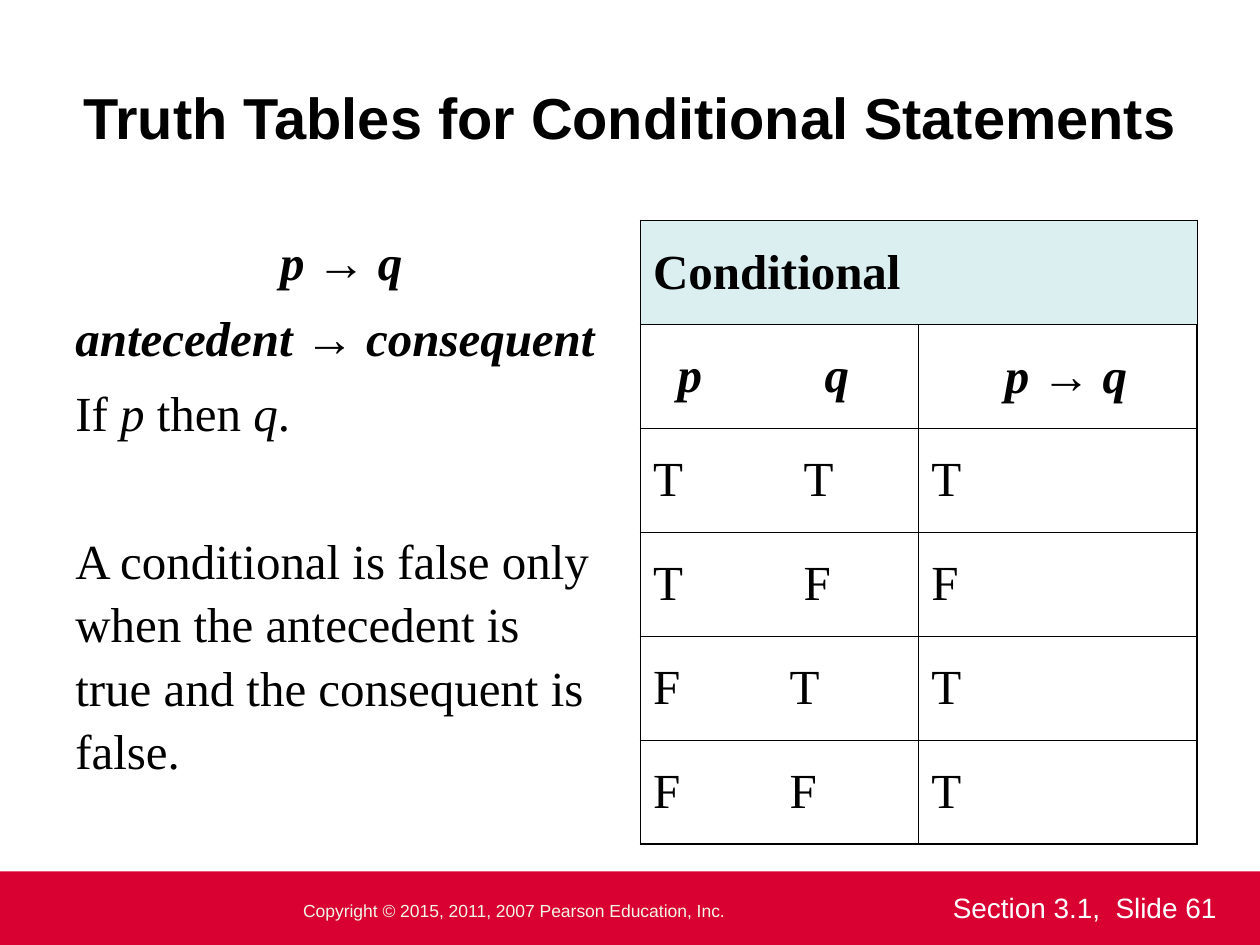
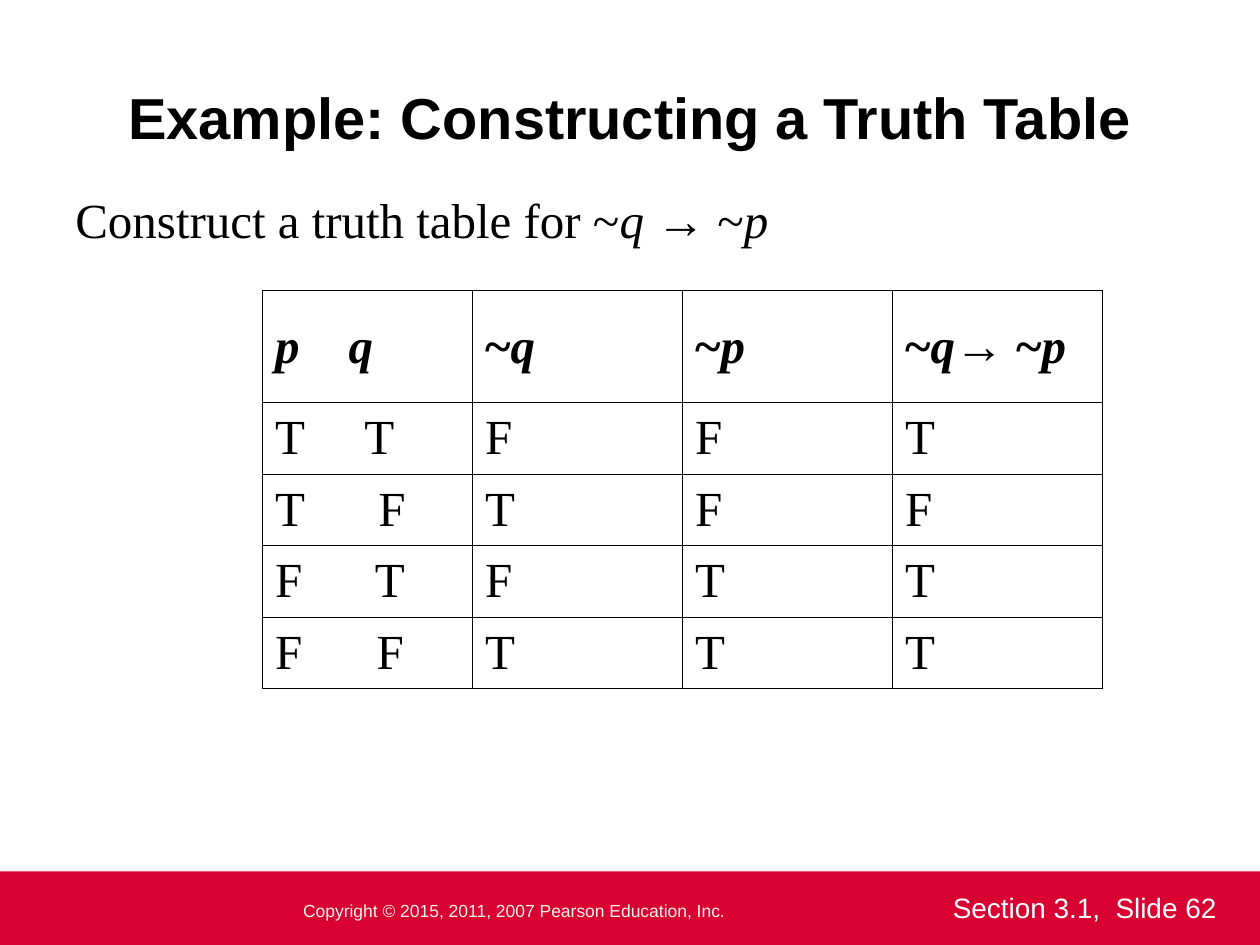
import itertools
from dataclasses import dataclass

import pptx
import pptx.dml.color
import pptx.enum.shapes
import pptx.enum.text
import pptx.oxml
import pptx.oxml.ns
import pptx.util
from lxml import etree

Pt = pptx.util.Pt
RGB = pptx.dml.color.RGBColor.from_string
ALIGN = pptx.enum.text.PP_ALIGN
ANCHOR = pptx.enum.text.MSO_ANCHOR
qn = pptx.oxml.ns.qn


@dataclass(frozen=True)
class Theme:
    ink: str = "000000"
    band: str = "D90032"
    copyright: str = "F3F5E7"
    white: str = "FFFFFF"
    header: str = "BBE0E3"
    sans: str = "Arial"
    serif: str = "Times New Roman"
    title_size: float = 33
    body_size: float = 28
    section_size: float = 16
    copyright_size: float = 10
    outer_line: float = 1.08
    inner_line: float = 0.45
    body_spacing: float = 1.08


def write(p, text, font, size, color, bold=False, align=None, tabs=(), before=0, spacing=None):
    """Asterisks switch italics on and off; arrows are upright bold sans."""
    if tabs:
        tab_list = etree.SubElement(p._p.get_or_add_pPr(), qn("a:tabLst"))
        for pos in tabs:
            etree.SubElement(tab_list, qn("a:tab"), pos=str(Pt(pos)), algn="l")
    p.alignment = align
    if before:
        p.space_before = Pt(before)
    if spacing:
        p.line_spacing = spacing
    for i, chunk in enumerate(text.split("*")):
        for piece in filter(None, chunk.replace("→", "|→|").split("|")):
            arrow = piece == "→"
            r = p.add_run()
            r.text = piece
            r.font.name = Theme.sans if arrow else font
            r.font.size = Pt(size)
            r.font.bold = bold or arrow
            r.font.italic = i % 2 == 1 and not arrow
            r.font.color.rgb = RGB(color)


class Deck:
    def __init__(self, theme):
        self.t = theme
        self.prs = pptx.Presentation()
        self.prs.slide_width, self.prs.slide_height = Pt(720), Pt(540)

    def slide(self, title, number):
        t = self.t
        self.s = self.prs.slides.add_slide(self.prs.slide_layouts[6])
        self.rect(0, 498, 720, 42, t.band)
        self.text(144, 508, 270, 25,
                  [("Copyright © 2015, 2011, 2007 Pearson Education, Inc.", dict(align=ALIGN.RIGHT))],
                  anchor=ANCHOR.MIDDLE, inset=False,
                  font=t.sans, size=t.copyright_size, color=t.copyright)
        self.text(537.4, 505.4, 180, 28, [(f"Section 3.1,\tSlide {number}", dict(tabs=[93]))],
                  font=t.sans, size=t.section_size, color=t.white)
        self.text(36, 21.6, 648, 90, [(title, dict(align=ALIGN.CENTER))], anchor=ANCHOR.MIDDLE,
                  font=t.sans, size=t.title_size, color=t.ink, bold=True)

    def rect(self, x, y, w, h, color):
        sp = self.s.shapes.add_shape(pptx.enum.shapes.MSO_SHAPE.RECTANGLE, Pt(x), Pt(y), Pt(w), Pt(h))
        sp.shadow.inherit = False
        sp.fill.solid()
        sp.fill.fore_color.rgb = RGB(color)
        sp.line.fill.background()

    def text(self, x, y, w, h, lines, anchor=ANCHOR.TOP, inset=True, **style):
        tf = self.s.shapes.add_textbox(Pt(x), Pt(y), Pt(w), Pt(h)).text_frame
        tf.word_wrap = True
        tf.vertical_anchor = anchor
        if not inset:
            tf.margin_left = tf.margin_right = tf.margin_top = tf.margin_bottom = 0
        for i, (line, fmt) in enumerate(lines):
            p = tf.add_paragraph() if i else tf.paragraphs[0]
            write(p, line, **{**style, **fmt})

    def body(self, x, y, w, h, lines):
        t = self.t
        self.text(x, y, w, h, lines, font=t.serif, size=t.body_size, color=t.ink, spacing=t.body_spacing)

    def table(self, x, y, col_width, heights, rows, tabs, header_rows, banner=False):
        t = self.t
        n_rows, n_cols = len(rows), len(rows[-1])
        table = self.s.shapes.add_table(n_rows, n_cols, Pt(x), Pt(y),
                                        Pt(col_width * n_cols), Pt(sum(heights))).table
        table.first_row = table.horz_banding = False
        for col in table.columns:
            col.width = Pt(col_width)
        for row, height in zip(table.rows, heights):
            row.height = Pt(height)
        if banner:
            table.cell(0, 0).merge(table.cell(0, n_cols - 1))
        for i, j in itertools.product(range(n_rows), range(n_cols)):
            cell = table.cell(i, j)
            cell.vertical_anchor = ANCHOR.MIDDLE
            self.borders(cell, L=j == 0, R=j == n_cols - 1, T=i == 0, B=i == n_rows - 1)
            if banner and i == 0:
                cell.fill.solid()
                cell.fill.fore_color.rgb = RGB(t.header)
                color = cell._tc.tcPr.find(qn("a:solidFill"))[0]
                etree.SubElement(color, qn("a:alpha"), val="50000")
            else:
                cell.fill.background()
            if j < len(rows[i]):
                write(cell.text_frame.paragraphs[0], rows[i][j], t.serif, t.body_size, t.ink,
                      bold=i < header_rows, tabs=tabs.get((i, j), ()))

    def borders(self, cell, **outer):
        t = self.t
        tcPr = cell._tc.get_or_add_tcPr()
        for side, is_outer in outer.items():
            width = t.outer_line if is_outer else t.inner_line
            ln = etree.SubElement(tcPr, qn(f"a:ln{side}"), w=str(Pt(width)))
            fill = etree.SubElement(ln, qn("a:solidFill"))
            etree.SubElement(fill, qn("a:srgbClr"), val=t.ink)


def main():
    deck = Deck(Theme())

    deck.slide("Truth Tables for Conditional Statements", 61)
    deck.body(36, 126, 318, 356, [
        ("*p* → *q*", dict(bold=True, align=ALIGN.CENTER)),
        ("*antecedent* → *consequent*", dict(bold=True, before=7)),
        ("If *p* then *q*.", dict(before=7)),
        ("A conditional is false only when the antecedent is true and the consequent is false.",
         dict(before=48)),
    ])
    deck.table(366, 126, 159, [59.4] * 6, [
        ["Conditional"],
        ["\t*p*\t*q*", "\t*p* → *q*"],
        ["T\tT", "T"],
        ["T\tF", "F"],
        ["F\tT", "T"],
        ["F\tF", "T"],
    ], tabs={(1, 0): [14, 98], (1, 1): [42], (2, 0): [86], (3, 0): [86], (4, 0): [78], (5, 0): [78]},
        header_rows=2, banner=True)

    deck.slide("Example: Constructing a Truth Table", 62)
    deck.body(36, 102, 624, 380, [("Construct a truth table for ~*q* → ~*p*", {})])
    deck.table(150, 166, 120, [64, 38.3, 40, 38.3, 38.3], [
        ["*p*\t*q*", "~*q*", "~*p*", "~*q*→ ~*p*"],
        ["T\tT", "F", "F", "T"],
        ["T\tF", "T", "F", "F"],
        ["F\tT", "F", "T", "T"],
        ["F\tF", "T", "T", "T"],
    ], tabs={(0, 0): [42], (1, 0): [51], (2, 0): [59], (3, 0): [57], (4, 0): [58]}, header_rows=1)

    deck.prs.save("out.pptx")


if __name__ == "__main__":
    main()
